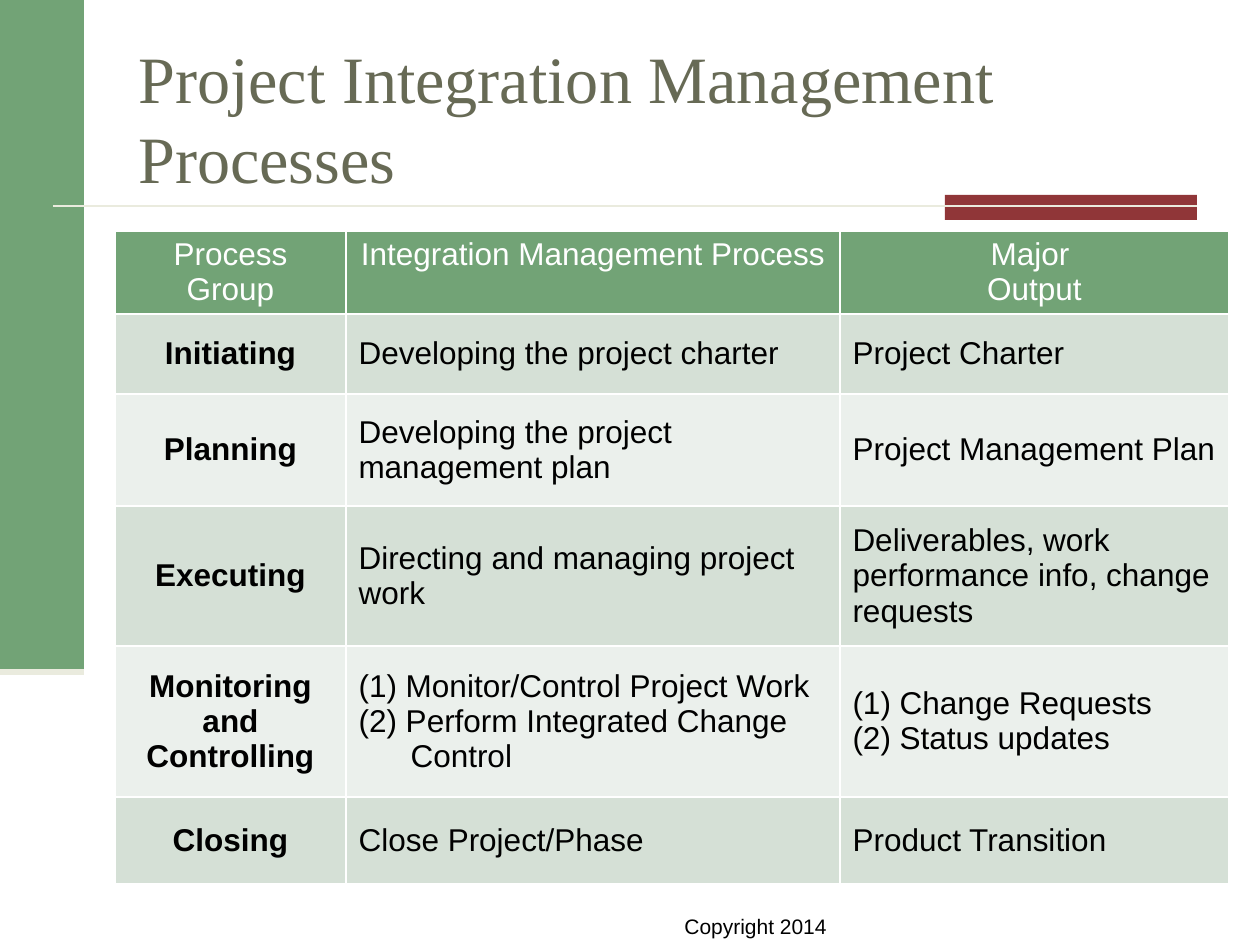
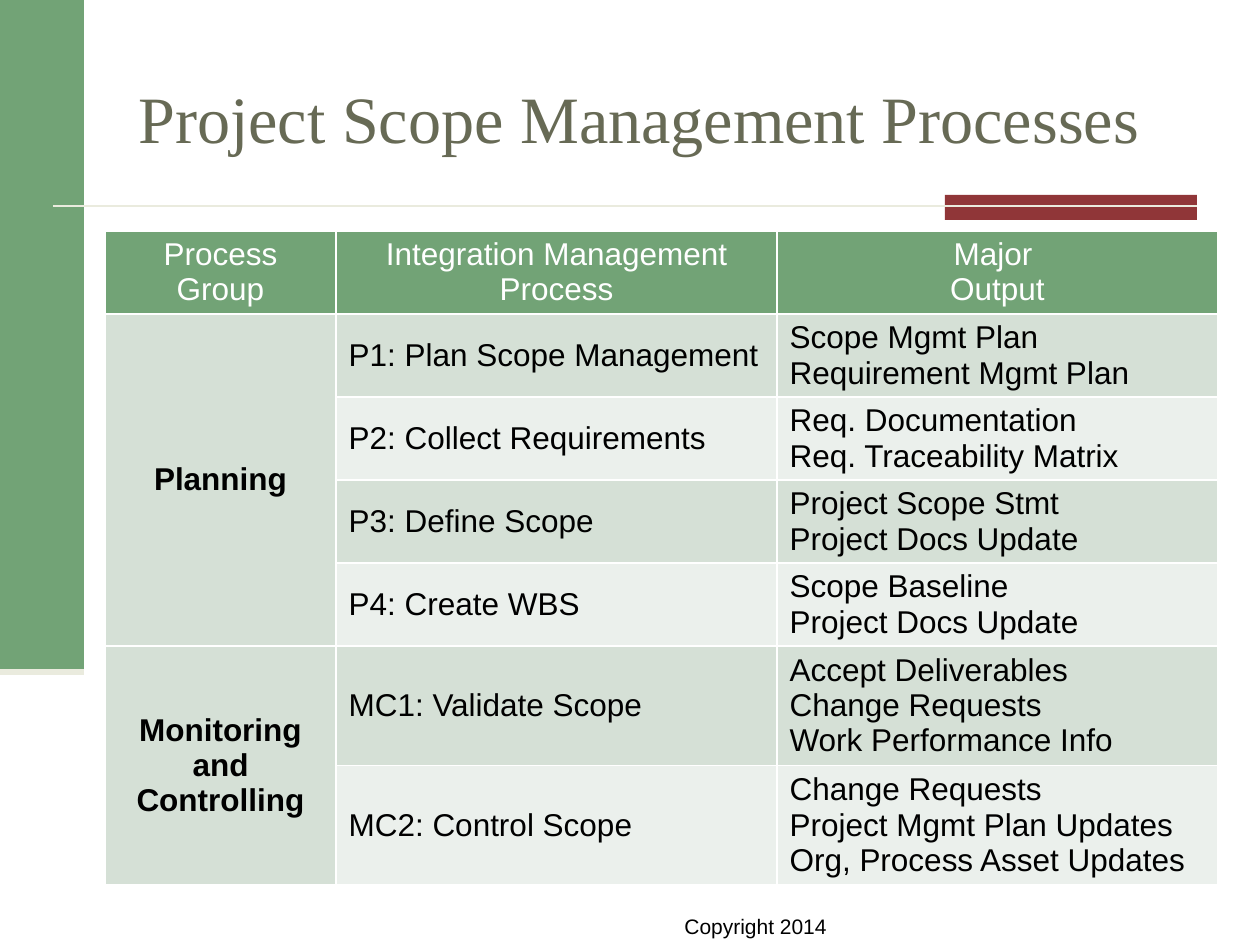
import pptx
import pptx.dml.color
import pptx.enum.shapes
import pptx.enum.text
import pptx.oxml
import pptx.oxml.ns
import pptx.util
import lxml.etree

COLORS = {"green": "72A376", "red": "903638", "cream": "EAEBDE", "olive": "676A55",
          "dark_row": "D5E0D6", "light_row": "EBF0EC", "white": "FFFFFF", "black": "000000"}
ALIGN = pptx.enum.text.PP_ALIGN
ANCHOR = pptx.enum.text.MSO_ANCHOR
RECTANGLE = pptx.enum.shapes.MSO_SHAPE.RECTANGLE
STRAIGHT = pptx.enum.shapes.MSO_CONNECTOR.STRAIGHT
QN = pptx.oxml.ns.qn
RGB = pptx.dml.color.RGBColor.from_string


def px(length):
    return pptx.util.Emu(round(length * 914400 / 126))


def style_text(frame, color, font, paragraph):
    for line in frame.paragraphs:
        for name, value in paragraph.items():
            setattr(line, name, value)
        for run in line.runs:
            run.font.color.rgb = RGB(COLORS[color])
            for name, value in font.items():
                setattr(run.font, name, value)


# Formats and shared parts
TITLE_FONT = {"name": "Times New Roman", "size": pptx.util.Pt(37.8)}
FOOTER_FONT = {"name": "Arial", "size": pptx.util.Pt(12)}
CELL_FONT = {"name": "Arial", "size": pptx.util.Pt(18)}
HEADING_CELL = {"vertical_anchor": ANCHOR.TOP, "margin_top": px(6), "margin_bottom": px(0)}
BODY_CELL = {"vertical_anchor": ANCHOR.MIDDLE, "margin_top": px(3), "margin_bottom": px(3)}
HEADINGS = ("Process Group", "Integration Management Process", "Major \nOutput")
BLOCKS = [((0, 0, 84, 672), "green"), ((945, 195, 252, 25), "red")]
RULES = [((53, 206, 1197, 206), 1.5), ((0, 672, 84, 672), 3.5)]
HANGING = 52

# Slide content: an empty group continues the group above
SLIDES = [
    {"title": "Project Integration Management Processes",
     "left": 115,
     "columns": (231, 494, 389),
     "heights": (83, 80, 112, 140, 151, 87),
     "rows": [
         ("Initiating", "Developing the project charter", "Project Charter"),
         ("Planning", "Developing the project management plan", "Project Management Plan"),
         ("Executing", "Directing and managing project work",
          "Deliverables, work performance info, change requests"),
         ("Monitoring and Controlling",
          "(1) Monitor/Control Project Work\n(2) Perform Integrated Change Control",
          "(1) Change Requests\n(2) Status updates"),
         ("Closing", "Close Project/Phase", "Product Transition")]},
    {"title": "Project Scope Management Processes",
     "left": 105,
     "columns": (231, 441, 441),
     "heights": (83, 83, 83, 83, 83, 119, 118),
     "rows": [
         ("Planning", "P1: Plan Scope Management", "Scope Mgmt Plan\nRequirement Mgmt Plan"),
         ("", "P2: Collect Requirements", "Req. Documentation\nReq. Traceability Matrix"),
         ("", "P3: Define Scope", "Project Scope Stmt\nProject Docs Update"),
         ("", "P4: Create WBS", "Scope Baseline\nProject Docs Update"),
         ("Monitoring and Controlling", "MC1: Validate Scope",
          "Accept Deliverables\nChange Requests\nWork Performance Info"),
         ("", "MC2: Control Scope",
          "Change Requests\nProject Mgmt Plan Updates\nOrg, Process Asset Updates")]},
]

deck = pptx.Presentation()
deck.slide_width, deck.slide_height = px(1260), px(945)

for content in SLIDES:
    slide = deck.slides.add_slide(deck.slide_layouts[6])

    # Side band, accent block and rules
    for box, color in BLOCKS:
        block = slide.shapes.add_shape(RECTANGLE, *map(px, box))
        block.shadow.inherit = False
        block.fill.solid()
        block.fill.fore_color.rgb = RGB(COLORS[color])
        block.line.fill.background()
    for ends, weight in RULES:
        rule = slide.shapes.add_connector(STRAIGHT, *map(px, ends))
        rule.line.color.rgb = RGB(COLORS["cream"])
        rule.line.width = pptx.util.Pt(weight)
        lxml.etree.SubElement(rule._element.spPr, QN("a:effectLst"))

    # Footer and title
    footer = slide.shapes.add_textbox(*map(px, (672, 907, 169, 38))).text_frame
    footer.text = "Copyright 2014"
    style_text(footer, "black", FOOTER_FONT, {})
    title = slide.shapes.add_textbox(*map(px, (126, 38, 1071, 157))).text_frame
    title.word_wrap = True
    title.vertical_anchor = ANCHOR.MIDDLE
    title.text = content["title"]
    style_text(title, "olive", TITLE_FONT, {"line_spacing": pptx.util.Pt(46)})

    # Process table
    rows = [HEADINGS] + content["rows"]
    widths, heights = content["columns"], content["heights"]
    processes = slide.shapes.add_table(
        len(rows), len(widths), px(content["left"]), px(231),
        px(sum(widths)), px(sum(heights))).table
    for column, width in zip(processes.columns, widths):
        column.width = px(width)
    for row, height in zip(processes.rows, heights):
        row.height = px(height)

    for r, texts in enumerate(rows):
        for c, text in enumerate(texts):
            cell = processes.cell(r, c)
            heading, group = r == 0, c == 0
            cell.text = text
            for name, value in (HEADING_CELL if heading else BODY_CELL).items():
                setattr(cell, name, value)
            cell.fill.solid()
            fill = "green" if heading else "dark_row" if r % 2 else "light_row"
            cell.fill.fore_color.rgb = RGB(COLORS[fill])
            style_text(cell.text_frame, "white" if heading else "black",
                       {**CELL_FONT, "bold": group and not heading},
                       {"alignment": ALIGN.CENTER if heading or group else ALIGN.LEFT})

            # Hanging indent for numbered lines
            for line in cell.text_frame.paragraphs:
                if line.text.startswith("("):
                    indent = line._p.get_or_add_pPr()
                    indent.set("marL", str(px(HANGING)))
                    indent.set("indent", str(-px(HANGING)))

            # White cell borders
            for place, side in enumerate(("lnL", "lnR", "lnT", "lnB")):
                border = lxml.etree.Element(QN("a:" + side), w=str(pptx.util.Pt(1)))
                paint = lxml.etree.SubElement(border, QN("a:solidFill"))
                lxml.etree.SubElement(paint, QN("a:srgbClr"), val=COLORS["white"])
                cell._tc.get_or_add_tcPr().insert(place, border)

    # Merge each group over the rows that continue it
    starts = [r for r, texts in enumerate(rows) if texts[0]] + [len(rows)]
    for first, following in zip(starts, starts[1:]):
        if following - first > 1:
            processes.cell(first, 0).merge(processes.cell(following - 1, 0))

deck.save("out.pptx")
